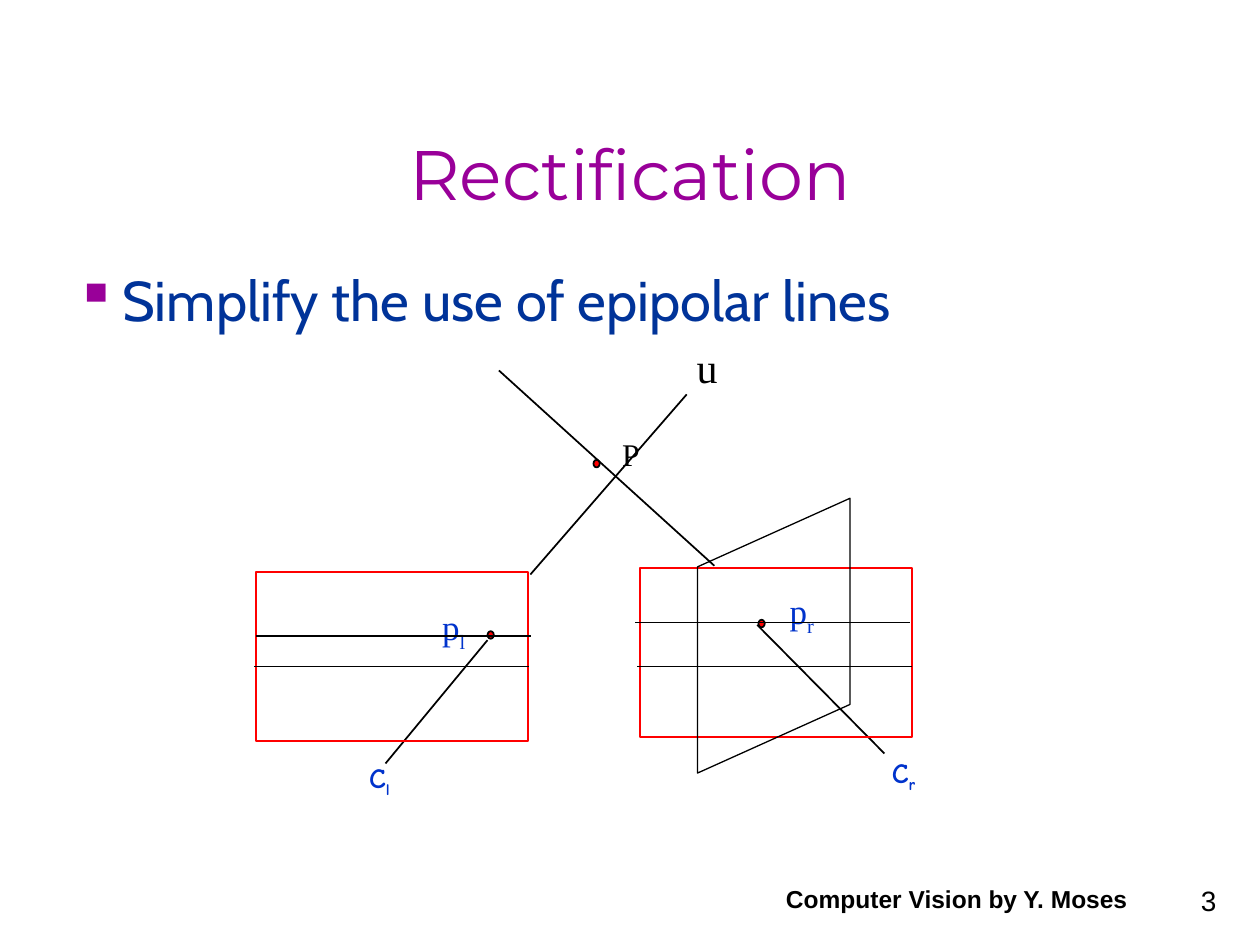
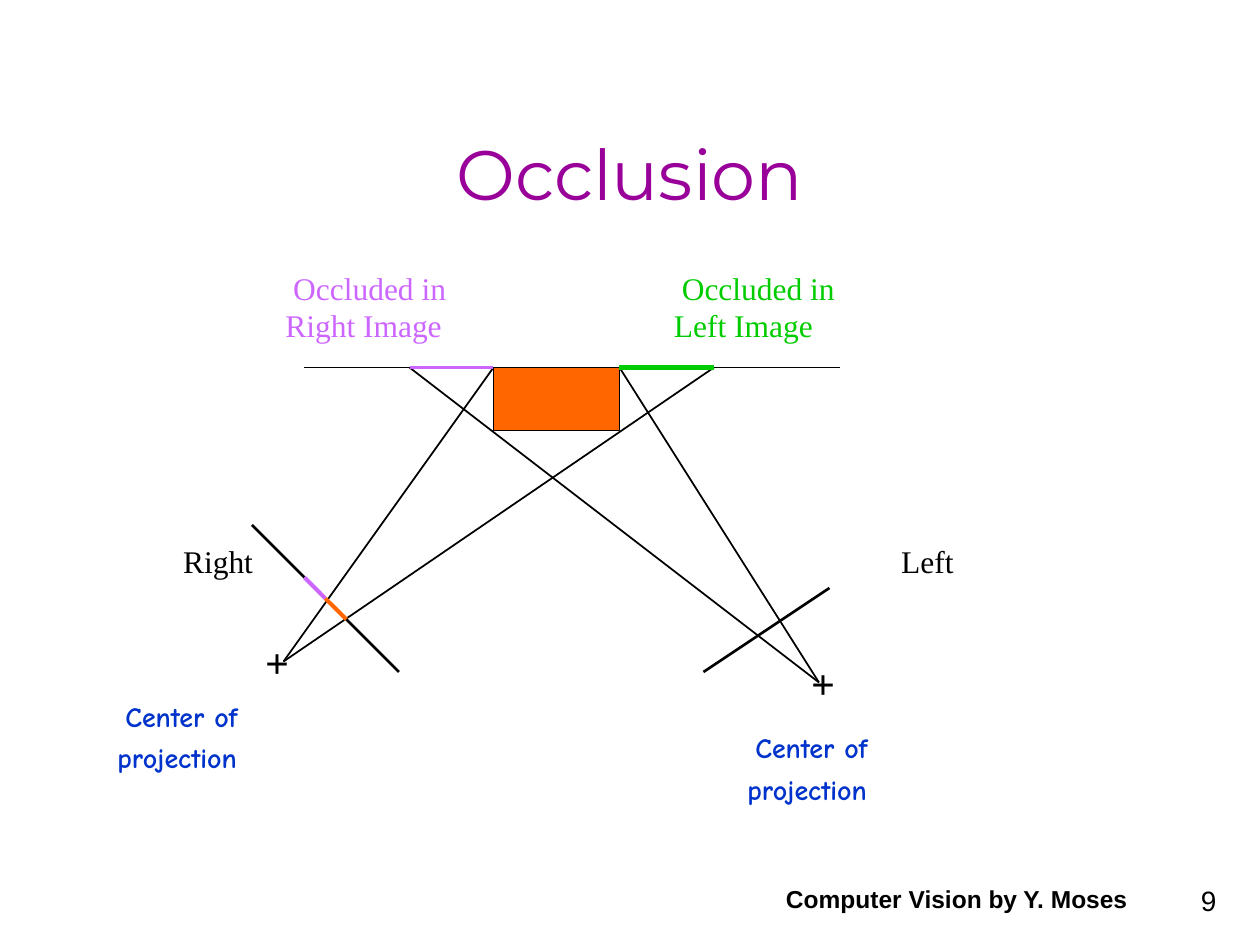
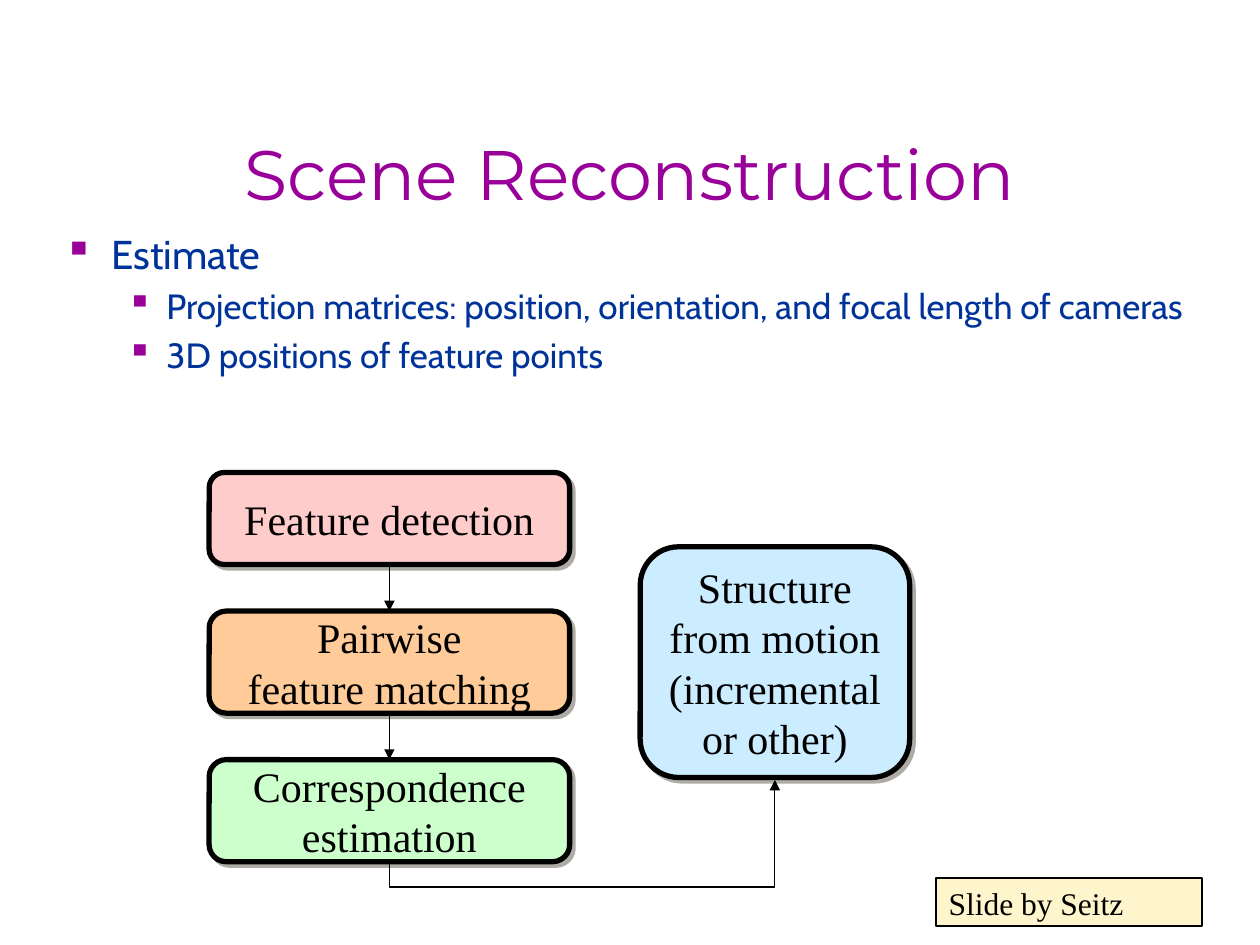
from dataclasses import dataclass

from lxml import etree
from pptx import Presentation
from pptx.dml.color import RGBColor
from pptx.enum.shapes import MSO_CONNECTOR, MSO_SHAPE
from pptx.enum.text import MSO_ANCHOR, PP_ALIGN
from pptx.oxml.ns import qn
from pptx.util import Pt

LEFT, CENTER, RIGHT = PP_ALIGN.LEFT, PP_ALIGN.CENTER, PP_ALIGN.RIGHT
TOP, MIDDLE, BOTTOM = MSO_ANCHOR.TOP, MSO_ANCHOR.MIDDLE, MSO_ANCHOR.BOTTOM
STRAIGHT, ELBOW = MSO_CONNECTOR.STRAIGHT, MSO_CONNECTOR.ELBOW
RECTANGLE, ROUNDED = MSO_SHAPE.RECTANGLE, MSO_SHAPE.ROUNDED_RECTANGLE
OVAL, PARALLELOGRAM = MSO_SHAPE.OVAL, MSO_SHAPE.PARALLELOGRAM
SIDE_TOP, SIDE_BOTTOM = 0, 2


@dataclass(frozen=True)
class Style:
    font: str
    size: float
    color: str
    bold: bool = False


@dataclass(frozen=True)
class Theme:
    black: str = "000000"
    purple: str = "990099"
    red: str = "FF0000"
    orange: str = "FF6600"
    green: str = "00CC00"
    violet: str = "CC66FF"
    pink: str = "FFCCCC"
    peach: str = "FFCC99"
    mint: str = "CCFFCC"
    sky: str = "CCECFF"
    cream: str = "FFF5CC"
    shadow: str = "5E574E"
    title: Style = Style("Montserrat", 40, "990099")
    bullet: Style = Style("Cabin", 32, "003399")
    bullet_medium: Style = Style("Cabin", 23, "003399")
    bullet_small: Style = Style("Cabin", 20, "003399")
    number: Style = Style("Arial", 16, "000000")
    footer: Style = Style("Arial", 14, "000000", True)
    center: Style = Style("Comic Neue", 16, "0033CC", True)
    image_point: Style = Style("Times New Roman", 20, "0033CC")
    label: Style = Style("Times New Roman", 18, "000000")
    large: Style = Style("Times New Roman", 24, "000000")
    cross: Style = Style("Times New Roman", 24, "000000", True)
    occluded_left: Style = Style("Times New Roman", 18, "00CC00")
    occluded_right: Style = Style("Times New Roman", 18, "CC66FF")


THEME = Theme()


@dataclass(frozen=True)
class Box:
    left: float
    top: float
    width: float
    height: float

    def inner(self, left, top, width, height):
        return Box(self.left + left, self.top + top, width, height)

    def point(self, position):
        return self.left + position[0], self.top + position[1]

    @property
    def points(self):
        return Pt(self.left), Pt(self.top), Pt(self.width), Pt(self.height)

    @property
    def bottom_middle(self):
        return self.left + self.width / 2, self.top + self.height


def rgb(color):
    return RGBColor.from_string(color)


def style_paragraph(paragraph, style, align=LEFT):
    paragraph.alignment = align
    font = paragraph.font
    font.name, font.size, font.bold = style.font, Pt(style.size), style.bold
    font.color.rgb = rgb(style.color)


def write_lines(frame, lines, style, align=LEFT, anchor=TOP):
    frame.word_wrap = True
    frame.vertical_anchor = anchor
    for index, line in enumerate(lines):
        paragraph = frame.paragraphs[0] if index == 0 else frame.add_paragraph()
        paragraph.add_run().text = line
        style_paragraph(paragraph, style, align)
    return frame.paragraphs


def add_text(slide, box, lines, style, align=LEFT, anchor=TOP):
    frame = slide.shapes.add_textbox(*box.points).text_frame
    return write_lines(frame, lines, style, align, anchor)


def add_subscripted(slide, box, letter, subscript, style):
    paragraph = add_text(slide, box, [letter], style)[0]
    run = paragraph.add_run()
    run.text = subscript
    run._r.get_or_add_rPr().set("baseline", "-25000")


def add_two_lines(slide, box, lines, style, gap=0):
    first, second = add_text(slide, box, lines, style)
    first._p.get_or_add_pPr().set("indent", str(Pt(4.5)))
    second.space_before = Pt(gap)


def add_bullets(slide, box, items):
    frame = slide.shapes.add_textbox(*box.points).text_frame
    frame.word_wrap = True
    for index, (level, text, style) in enumerate(items):
        paragraph = frame.paragraphs[0] if index == 0 else frame.add_paragraph()
        paragraph.add_run().text = text
        paragraph.level = level
        properties = paragraph._p.get_or_add_pPr()
        margin, indent = ((27, -27), (58.5, -22.5))[level]
        properties.set("marL", str(Pt(margin)))
        properties.set("indent", str(Pt(indent)))
        color = etree.SubElement(properties, qn("a:buClr"))
        etree.SubElement(color, qn("a:srgbClr"), val=THEME.purple)
        etree.SubElement(properties, qn("a:buChar"), char="▪")
        if index:
            paragraph.space_before = Pt(style.size * 0.2)
        style_paragraph(paragraph, style)


def add_figure(slide, kind, box, fill=None, line=THEME.black, width=1):
    shape = slide.shapes.add_shape(kind, *box.points)
    shape.shadow.inherit = False
    if fill:
        shape.fill.solid()
        shape.fill.fore_color.rgb = rgb(fill)
    else:
        shape.fill.background()
    shape.line.color.rgb = rgb(line)
    shape.line.width = Pt(width)
    return shape


def finish_connector(connector, color, width, arrow=False):
    connector.line.color.rgb = rgb(color)
    connector.line.width = Pt(width)
    properties = connector._element.spPr
    if arrow:
        etree.SubElement(properties.find(qn("a:ln")), qn("a:tailEnd"), type="triangle")
    etree.SubElement(properties, qn("a:effectLst"))


def add_line(slide, box, start, end, color=THEME.black, width=1):
    ends = [Pt(value) for value in box.point(start) + box.point(end)]
    connector = slide.shapes.add_connector(STRAIGHT, *ends)
    finish_connector(connector, color, width)


def add_title(slide, text):
    add_text(slide, Box(54, 36, 612, 90), [text], THEME.title, CENTER, BOTTOM)


def add_footer(slide, number):
    add_text(slide, Box(552.2, 491.8, 150, 36), [number], THEME.number, RIGHT, BOTTOM)
    add_text(slide, Box(432.7, 489.6, 228.2, 36), ["Computer Vision by Y. Moses"],
             THEME.footer, CENTER, BOTTOM)


def draw_epipolar_views(slide, box):
    for left, top, subscript in ((59.8, 241.3, "l"), (358.6, 238.4, "r")):
        add_subscripted(slide, box.inner(left, top, 28.5, 26.6), "C", subscript, THEME.center)
    rays = (
        ((76.3, 246.3), (134.6, 175.8)),
        ((159.1, 138.3), (248.4, 35.4)),
        ((141.1, 21.7), (264.2, 133.3)),
        ((361.4, 240.6), (288.7, 167.1)),
    )
    for start, end in rays:
        add_line(slide, box, start, end)
    for left, top in ((134.6, 170.7), (289.4, 164.2), (195.1, 72.8)):
        add_figure(slide, OVAL, box.inner(left, top, 3.6, 4.3), THEME.red)
    add_text(slide, box.inner(204.5, 54.8, 24.5, 28.8), ["P"], THEME.label)
    add_text(slide, box.inner(247, 1.5, 34.6, 36), ["u"], THEME.large)
    for left, top, subscript in ((101.5, 152.7, "l"), (300.2, 143.4, "r")):
        add_subscripted(slide, box.inner(left, top, 46.8, 31), "p", subscript, THEME.image_point)
    for left, top in ((2.2, 136.9), (221.8, 134.7)):
        add_figure(slide, RECTANGLE, box.inner(left, top, 155.5, 96.5), line=THEME.red)
    for left, top in ((2.2, 173.6), (1.4, 190.9), (220.3, 190.9), (218.9, 165.7)):
        add_line(slide, box, (left, top), (left + 157, top))
    tilted_plane = add_figure(slide, PARALLELOGRAM, box.inner(219.6, 129.7, 157, 87.1), width=0.75)
    tilted_plane.adjustments[0] = 0.45
    tilted_plane.rotation = 270
    tilted_plane._element.spPr.xfrm.set("flipH", "1")


def draw_occlusion(slide, box):
    wall_left, purple_end, block_left, block_right, green_end, wall_right = (
        (x, 60) for x in (114, 174, 222, 294, 348, 420))
    right_eye, left_eye = (102, 228), (408, 240)
    add_line(slide, box, wall_left, wall_right)
    add_figure(slide, RECTANGLE, box.inner(*block_left, 72, 36), THEME.orange)
    for eye, targets in ((right_eye, (green_end, block_left)),
                         (left_eye, (purple_end, block_right))):
        for target in targets:
            add_line(slide, box, eye, target)
    add_line(slide, box, (414, 186), (342, 234), width=1.5)
    for left, top in ((72, 210), (384, 222)):
        add_text(slide, box.inner(left, top, 40.3, 36), ["+"], THEME.cross, RIGHT)
    add_line(slide, box, block_right, green_end, THEME.green, 3)
    add_line(slide, box, block_left, purple_end, THEME.violet, 2.25)
    add_two_lines(slide, box.inner(318, 0, 121, 50.4), ["Occluded in", "Left Image"],
                  THEME.occluded_left)
    add_two_lines(slide, box.inner(96, 0, 124.6, 50.4), ["Occluded in", "Right Image"],
                  THEME.occluded_right)
    for left, width, text in ((24, 67.7, "Right"), (438, 54, "Left")):
        add_text(slide, box.inner(left, 156, width, 28.8), [text], THEME.label, RIGHT)
    image_plane = (
        (84, 114, THEME.black, 1.5),
        (114, 126, THEME.violet, 2.25),
        (126, 138, THEME.orange, 2.25),
        (138, 168, THEME.black, 1.5),
    )
    for start, end, color, width in image_plane:
        add_line(slide, box, (start, start + 66), (end, end + 66), color, width)
    for left, top in ((360, 264), (0, 246)):
        add_two_lines(slide, box.inner(left, top, 111.6, 50.4), ["Center of", "projection"],
                      THEME.center, 4.6)


def add_step(slide, box, lines, fill):
    step = add_figure(slide, ROUNDED, box, fill, width=3)
    step.adjustments[0] = 0.167
    effects = step._element.spPr.find(qn("a:effectLst"))
    shadow = etree.SubElement(effects, qn("a:outerShdw"), dist=str(Pt(2.8)),
                              dir="2700000", algn="ctr", rotWithShape="0")
    color = etree.SubElement(shadow, qn("a:srgbClr"), val=THEME.shadow)
    etree.SubElement(color, qn("a:alpha"), val="50000")
    write_lines(step.text_frame, lines, THEME.large, CENTER, MIDDLE)
    return step


def add_return_arrow(slide, start, end, drop):
    width, height = start[1] - end[1], end[0] - start[0]
    left = (start[0] + end[0] - width) / 2
    top = (start[1] + end[1] - height) / 2
    connector = slide.shapes.add_connector(
        ELBOW, Pt(left), Pt(top), Pt(left + width), Pt(top + height))
    properties = connector._element.spPr
    for name, value in (("rot", "5400000"), ("flipH", "1"), ("flipV", "1")):
        properties.xfrm.set(name, value)
    guides = properties.find(qn("a:prstGeom")).get_or_add_avLst()
    etree.SubElement(guides, qn("a:gd"), name="adj1",
                     fmla=f"val {round(-100000 * drop / width)}")
    finish_connector(connector, THEME.black, 0.75, True)


def draw_pipeline(slide, box):
    stages = (
        (52.6, ["Feature detection"], THEME.pink),
        (58.3, ["Pairwise", "feature matching"], THEME.peach),
        (58.3, ["Correspondence estimation"], THEME.mint),
    )
    top, gap, steps = 0, 26.6, []
    for height, lines, fill in stages:
        step_box = box.inner(0, top, 206, height)
        steps.append(add_step(slide, step_box, lines, fill))
        top += height + gap
    structure_box = box.inner(246.3, 42.5, 154, 131.8)
    add_step(slide, structure_box, ["Structure from motion", "(incremental or other)"], THEME.sky)
    for upper, lower in zip(steps, steps[1:]):
        arrow = slide.shapes.add_connector(STRAIGHT, 0, 0, 0, 0)
        arrow.begin_connect(upper, SIDE_BOTTOM)
        arrow.end_connect(lower, SIDE_TOP)
        finish_connector(arrow, THEME.black, 0.75, True)
    end_x, end_y = structure_box.bottom_middle
    add_return_arrow(slide, step_box.bottom_middle, (end_x, end_y + 1.4), 14.5)


def add_credit(slide, box):
    note = add_figure(slide, RECTANGLE, box, THEME.cream)
    write_lines(note.text_frame, ["Slide by Seitz"], THEME.label)


def build_rectification(slide):
    add_title(slide, "Rectification")
    add_bullets(slide, Box(36, 148.3, 643.7, 328.3),
                [(0, "Simplify the use of epipolar lines", THEME.bullet)])
    add_footer(slide, "3")
    draw_epipolar_views(slide, Box(144, 190, 390, 270))


def build_occlusion(slide):
    add_footer(slide, "9")
    add_title(slide, "Occlusion")
    draw_occlusion(slide, Box(60, 150, 492, 315))


def build_reconstruction(slide):
    add_title(slide, "Scene Reconstruction")
    add_bullets(slide, Box(29.5, 127.4, 662.4, 412.6), [
        (0, "Estimate", THEME.bullet_medium),
        (1, "Projection matrices: position, orientation, and focal length of cameras",
         THEME.bullet_small),
        (1, "3D positions of feature points", THEME.bullet_small),
    ])
    draw_pipeline(slide, Box(119.5, 270, 400, 238))
    add_credit(slide, Box(535, 501.8, 152, 27.4))


def main():
    presentation = Presentation()
    presentation.slide_width, presentation.slide_height = Pt(720), Pt(540)
    for build in (build_rectification, build_occlusion, build_reconstruction):
        build(presentation.slides.add_slide(presentation.slide_layouts[6]))
    presentation.save("out.pptx")


if __name__ == "__main__":
    main()
